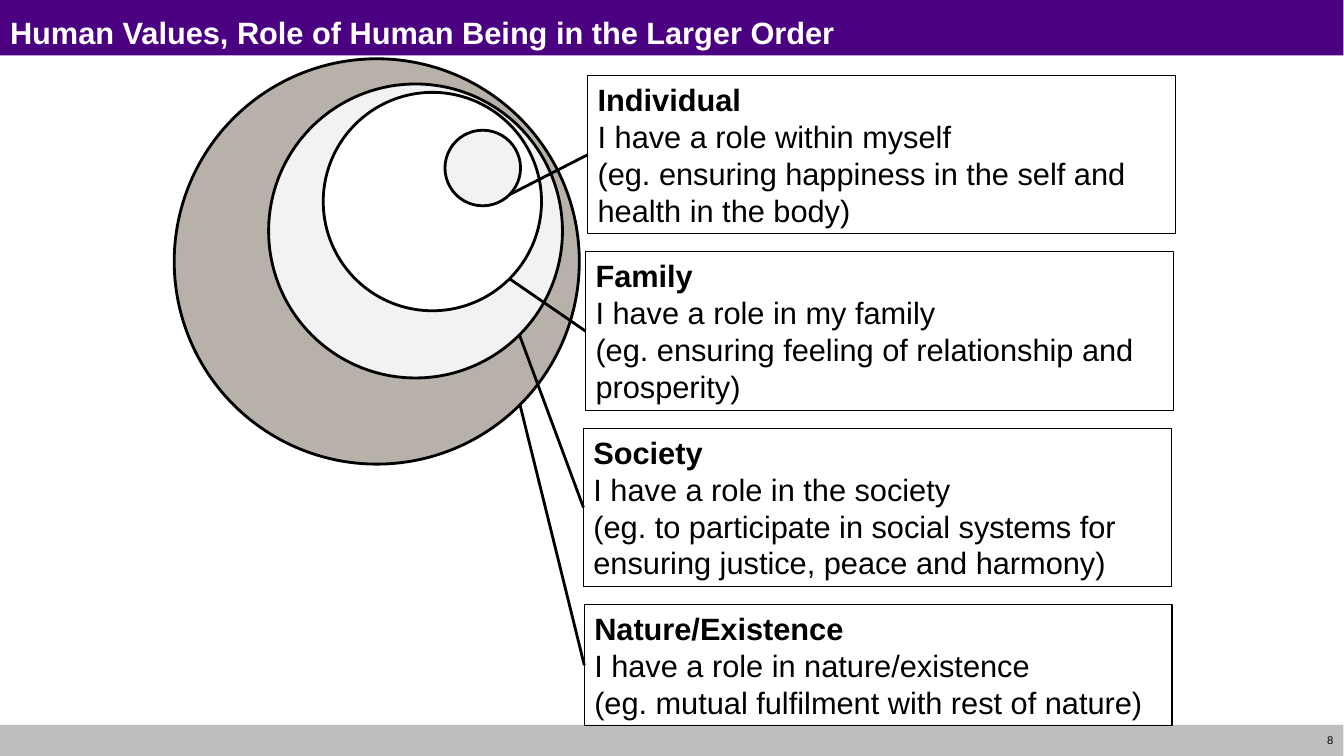
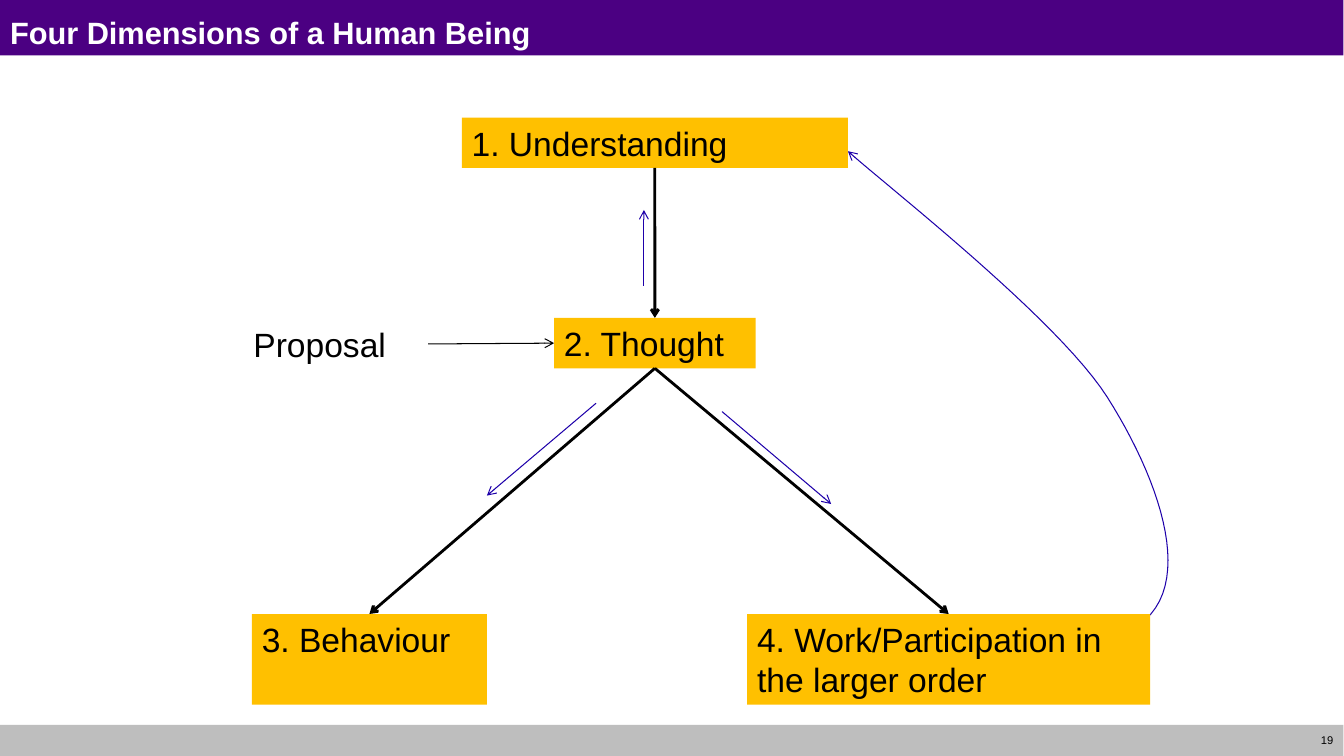
from dataclasses import dataclass

from lxml.etree import SubElement
from pptx import Presentation
from pptx.dml.color import RGBColor as Color
from pptx.enum.shapes import MSO_CONNECTOR as ConnectorKind, MSO_SHAPE as ShapeKind
from pptx.enum.text import MSO_ANCHOR as Anchor, MSO_AUTO_SIZE as AutoSize, PP_ALIGN as Align
from pptx.oxml.ns import qn
from pptx.util import Inches, Pt

# Grid: 160 columns by 90 rows, twelve cells to the inch
COLUMNS, ROWS = 160, 90
TITLE_ONLY = 5
TOP, LEFT, BOTTOM, RIGHT = range(4)


def cells(count: float) -> int:
    return Inches(count / 12)


@dataclass(frozen=True)
class Theme:
    font: str = "Arial"
    title_band: str = "4B0082"
    footer_band: str = "BEBEBE"
    light: str = "FFFFFF"
    ink: str = "000000"
    stone: str = "B7B1A9"
    mist: str = "F2F2F2"
    amber: str = "FFC000"
    flow: str = "1E00AA"
    title_size: float = 22
    role_size: float = 22
    step_size: float = 24
    number_size: float = 8
    thin: float = 0.75
    thick: float = 2


THEME = Theme()


@dataclass(frozen=True)
class Area:
    left: float
    top: float
    width: float
    height: float

    def lengths(self) -> tuple[int, ...]:
        return tuple(map(cells, (self.left, self.top, self.width, self.height)))

    def lower_right(self) -> tuple[float, float]:
        """Point at 45 degrees on the ellipse that fills the area."""
        share = (1 + 0.5 ** 0.5) / 2
        return self.left + self.width * share, self.top + self.height * share


@dataclass(frozen=True)
class Role:
    circle: Area
    circle_fill: str
    box: Area
    lines: tuple[str, ...]


@dataclass(frozen=True)
class Step:
    name: str
    area: Area
    text: str
    fill: str | None = THEME.amber


@dataclass(frozen=True)
class Link:
    start: str
    start_side: int
    end: str
    end_side: int
    width: float = THEME.thick


BOX_TOP, BOX_STEP, BOX_WIDTH = 9, 21, 70

# Innermost circle first
ROLES = (
    Role(Area(53, 15.5, 9, 9), THEME.mist, Area(70, BOX_TOP, BOX_WIDTH, 18.85),
         ("Individual", "I have a role within myself",
          "(eg. ensuring happiness in the self and health in the body)")),
    Role(Area(38.5, 11, 26, 26), THEME.light,
         Area(69.75, BOX_TOP + BOX_STEP, BOX_WIDTH, 18.85),
         ("Family", "I have a role in my family",
          "(eg. ensuring feeling of relationship and prosperity)")),
    Role(Area(32, 10, 35, 35), THEME.mist,
         Area(69.5, BOX_TOP + 2 * BOX_STEP, BOX_WIDTH, 18.85),
         ("Society", "I have a role in the society",
          "(eg. to participate in social systems for ensuring justice, peace and harmony)")),
    Role(Area(20.75, 7, 48.25, 48.25), THEME.stone,
         Area(69.6, BOX_TOP + 3 * BOX_STEP, BOX_WIDTH, 14.4),
         ("Nature/Existence", "I have a role in nature/existence",
          "(eg. mutual fulfilment with rest of nature)")),
)

STEPS = (
    Step("understanding", Area(55, 14, 46, 6), "1. Understanding"),
    Step("thought", Area(66, 37.85, 24, 6), "2. Thought"),
    Step("behaviour", Area(30, 73.1, 28, 10.8), "3. Behaviour"),
    Step("work", Area(89, 73.1, 48, 10.8), "4. Work/Participation in the larger order"),
    Step("proposal", Area(29, 37.95, 22, 6), "Proposal", None),
)
LINKS = (
    Link("thought", BOTTOM, "behaviour", TOP),
    Link("thought", BOTTOM, "work", TOP),
    Link("proposal", RIGHT, "thought", LEFT, THEME.thin),
    Link("understanding", BOTTOM, "thought", TOP),
)
FLOW_ARROWS = (
    ((76.7, 34), (76.7, 25)),
    ((71, 48), (58, 59)),
    ((86, 49), (99, 60)),
)
# Start point, then two handles and an end point for each curve
FEEDBACK_START = (97, 78.2)
FEEDBACK_CURVES = (
    ((113.8, 78.6), (130.6, 79), (136.4, 73.8)),
    ((142.2, 68.6), (137.8, 56.6), (131.9, 47.3)),
    ((126, 38), (105.8, 22.3), (101, 18)),
)


# Formatting
def format_text(shape, size: float, color: str = THEME.ink, align: Align = Align.LEFT,
                anchor: Anchor = Anchor.TOP) -> None:
    frame = shape.text_frame
    frame.word_wrap = True
    frame.auto_size = AutoSize.NONE
    frame.vertical_anchor = anchor
    frame.margin_left = frame.margin_right = Inches(0.1)
    frame.margin_top = frame.margin_bottom = Inches(0.05)
    for paragraph in frame.paragraphs:
        paragraph.alignment = align
        for run in paragraph.runs:
            run.font.name = THEME.font
            run.font.size = Pt(size)
            run.font.color.rgb = Color.from_string(color)


def format_line(shape, color: str, width: float, arrow: bool = False) -> None:
    shape.line.color.rgb = Color.from_string(color)
    shape.line.width = Pt(width)
    if arrow:
        SubElement(shape.element.spPr.find(qn("a:ln")), qn("a:tailEnd"), type="arrow")


# Drawing
def add_block(slide, kind: ShapeKind, area: Area, fill: str | None = None,
              line_width: float = 0):
    shape = slide.shapes.add_shape(kind, *area.lengths())
    shape.shadow.inherit = False
    if fill:
        shape.fill.solid()
        shape.fill.fore_color.rgb = Color.from_string(fill)
    else:
        shape.fill.background()
    if line_width:
        format_line(shape, THEME.ink, line_width)
    else:
        shape.line.fill.background()
    return shape


def add_line(slide, start: tuple[float, float], end: tuple[float, float],
             color: str = THEME.ink, width: float = THEME.thick, arrow: bool = False):
    connector = slide.shapes.add_connector(ConnectorKind.STRAIGHT, *map(cells, start + end))
    format_line(connector, color, width, arrow)
    SubElement(connector.element.spPr, qn("a:effectLst"))
    return connector


def curve_points(start, curves, pieces: int = 24):
    """Points along a chain of cubic curves, without the start."""
    for first, second, end in curves:
        for piece in range(1, pieces + 1):
            t = piece / pieces
            weights = ((1 - t) ** 3, 3 * t * (1 - t) ** 2, 3 * t * t * (1 - t), t ** 3)
            corners = (start, first, second, end)
            yield tuple(cells(sum(w * corner[axis] for w, corner in zip(weights, corners)))
                        for axis in (0, 1))
        start = end


def add_feedback_curve(slide) -> None:
    builder = slide.shapes.build_freeform(*map(cells, FEEDBACK_START))
    builder.add_line_segments(list(curve_points(FEEDBACK_START, FEEDBACK_CURVES)), close=False)
    curve = builder.convert_to_shape()
    curve.shadow.inherit = False
    curve.fill.background()
    format_line(curve, THEME.flow, THEME.thin, arrow=True)


# Shared layout
def prepare_layout(presentation, slide) -> None:
    """Put the two bands and the title's place on the layout."""
    layout = slide.slide_layout
    bands = ((Area(0, 0, COLUMNS, 6.6), THEME.title_band),
             (Area(0, 86.3, COLUMNS, ROWS - 86.3), THEME.footer_band))
    for area, fill in bands:
        band = add_block(slide, ShapeKind.RECTANGLE, area, fill)
        layout.shapes.element.insert(2, band.element)
    title = layout.placeholders[0]
    title.left, title.top, title.width, title.height = Area(0, 1.05, COLUMNS, 5).lengths()


def add_page(presentation, title: str, number: int):
    slide = presentation.slides.add_slide(presentation.slide_layouts[TITLE_ONLY])
    if len(presentation.slides) == 1:
        prepare_layout(presentation, slide)
    heading = slide.shapes.title
    heading.text_frame.text = title
    format_text(heading, THEME.title_size, THEME.light)
    heading.text_frame.paragraphs[0].runs[0].font.bold = True
    page_number = slide.shapes.add_textbox(*Area(152.5, 86.3, 7.5, 3.7).lengths())
    page_number.text_frame.text = str(number)
    format_text(page_number, THEME.number_size, align=Align.RIGHT, anchor=Anchor.MIDDLE)
    return slide


# Slides
def build_roles(presentation) -> None:
    slide = add_page(presentation, "Human Values, Role of Human Being in the Larger Order", 8)
    for role in reversed(ROLES):
        add_block(slide, ShapeKind.OVAL, role.circle, role.circle_fill, THEME.thick)
    for role in ROLES:
        box = add_block(slide, ShapeKind.RECTANGLE, role.box, line_width=THEME.thin)
        box.text_frame.text = "\n".join(role.lines)
        format_text(box, THEME.role_size)
        box.text_frame.paragraphs[0].runs[0].font.bold = True
        start = role.circle.lower_right()
        add_line(slide, start, (role.box.left, start[1])).end_connect(box, LEFT)


def build_dimensions(presentation) -> None:
    slide = add_page(presentation, "Four Dimensions of a Human Being", 19)
    add_feedback_curve(slide)
    boxes = {}
    for step in STEPS:
        box = add_block(slide, ShapeKind.RECTANGLE, step.area, step.fill)
        box.text_frame.text = step.text
        format_text(box, THEME.step_size)
        boxes[step.name] = box
    for link in LINKS:
        connector = add_line(slide, (0, 0), (1, 1), width=link.width, arrow=True)
        connector.begin_connect(boxes[link.start], link.start_side)
        connector.end_connect(boxes[link.end], link.end_side)
    for start, end in FLOW_ARROWS:
        add_line(slide, start, end, THEME.flow, THEME.thin, arrow=True)


def main() -> None:
    presentation = Presentation()
    presentation.slide_width = Inches(13.34)
    presentation.slide_height = Inches(7.5)
    build_roles(presentation)
    build_dimensions(presentation)
    presentation.save("out.pptx")


if __name__ == "__main__":
    main()
